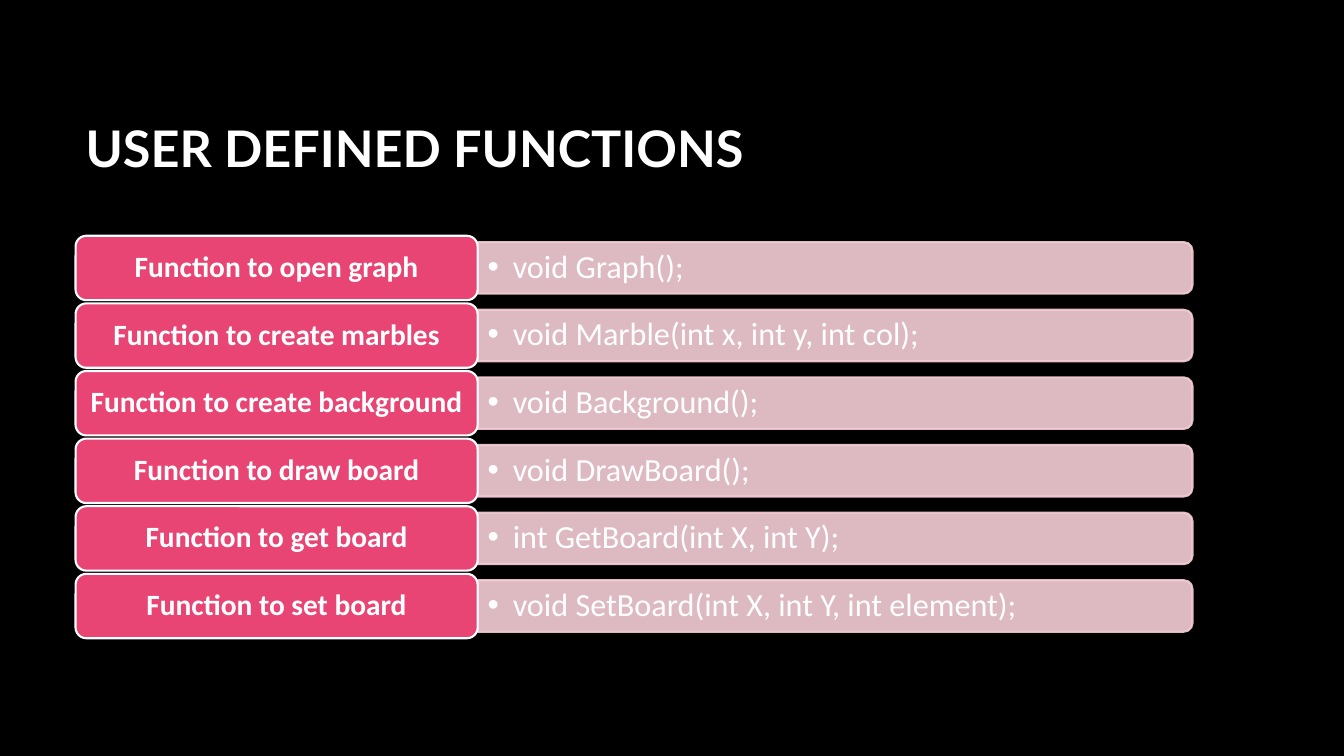
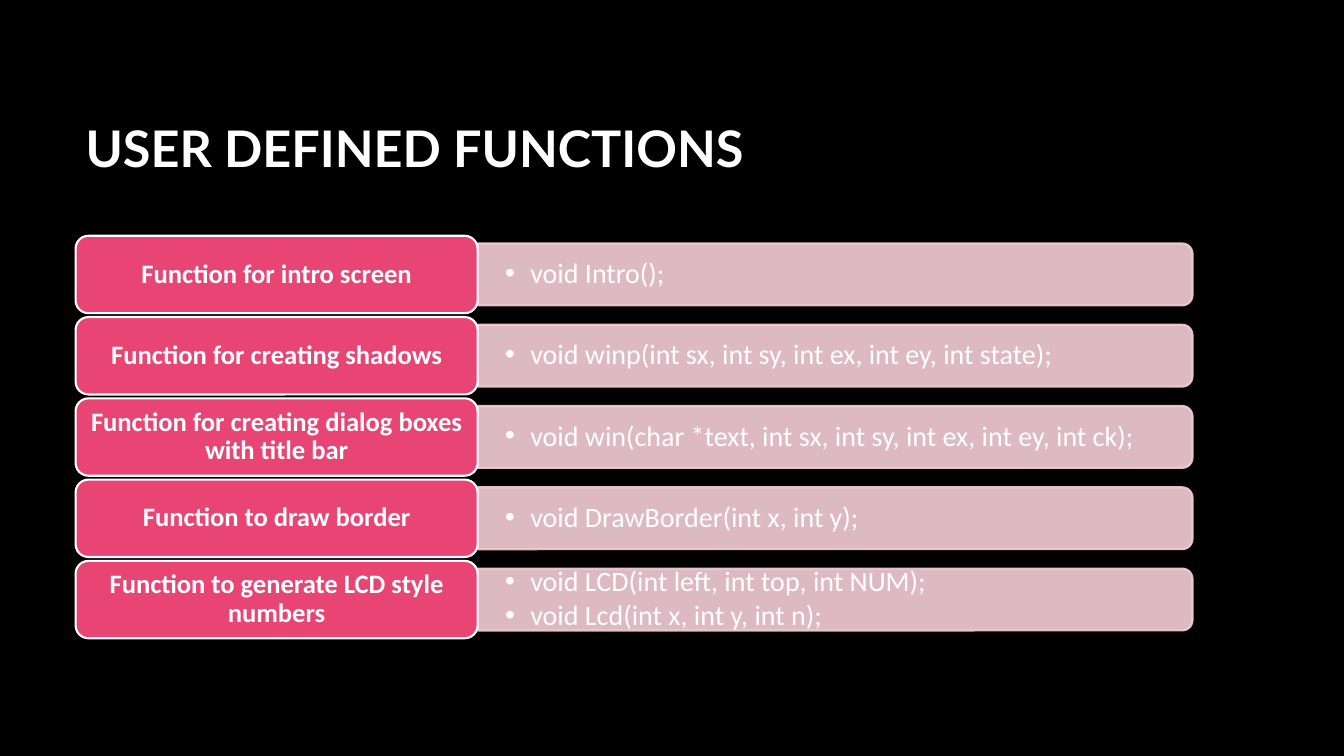
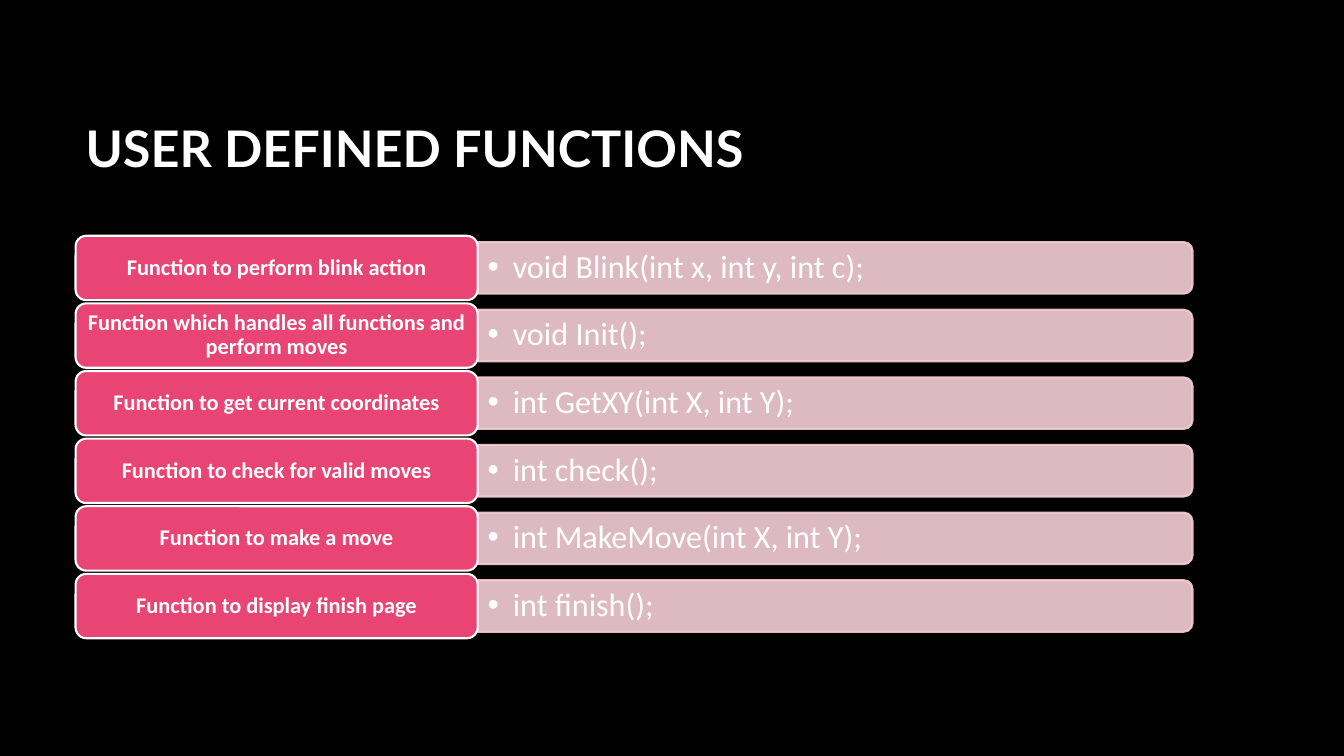
from lxml import etree
from pptx import Presentation
from pptx.dml.color import RGBColor
from pptx.enum import shapes, text
from pptx.oxml import ns
from pptx.util import Pt

# Content: label and declarations, with the text sizes of each slide
TITLE = "USER DEFINED FUNCTIONS"
SLIDES = [
    {"label_size": 21, "code_size": 23, "code_inset": 7.2, "functions": [
        ("Function to open graph", ["void Graph();"]),
        ("Function to create marbles", ["void Marble(int x, int y, int col);"]),
        ("Function to create background", ["void Background();"]),
        ("Function to draw board", ["void DrawBoard();"]),
        ("Function to get board", ["int GetBoard(int X, int Y);"]),
        ("Function to set board", ["void SetBoard(int X, int Y, int element);"]),
    ]},
    {"label_size": 19, "code_size": 20, "code_inset": 19.6, "functions": [
        ("Function for intro screen", ["void Intro();"]),
        ("Function for creating shadows",
         ["void winp(int sx, int sy, int ex, int ey, int state);"]),
        ("Function for creating dialog boxes with title bar",
         ["void win(char *text, int sx, int sy, int ex, int ey, int ck);"]),
        ("Function to draw border", ["void DrawBorder(int x, int y);"]),
        ("Function to generate LCD style numbers",
         ["void LCD(int left, int top, int NUM);", "void Lcd(int x, int y, int n);"]),
    ]},
    {"label_size": 16, "code_size": 23, "code_inset": 7.2, "functions": [
        ("Function to perform blink action", ["void Blink(int x, int y, int c);"]),
        ("Function which handles all functions and perform moves", ["void Init();"]),
        ("Function to get current coordinates", ["int GetXY(int X, int Y);"]),
        ("Function to check for valid moves", ["int check();"]),
        ("Function to make a move", ["int MakeMove(int X, int Y);"]),
        ("Function to display finish page", ["int finish();"]),
    ]},
]

# Shared look and layout, in points
BLACK, WHITE, PINK, PALE = "000000", "FFFFFF", "E84574", "F6CFD6"
LEFT, TOP, WIDTH, HEIGHT = 54, 168.4, 797.8, 287.5
LABEL_SHARE, BAR_SHARE, GAP_SHARE = 0.36, 0.8, 0.05
CORNER_TRIM = 0.05
BULLET_INDENT = 18


def color(value):
    return RGBColor.from_string(value)


def place(left, top, width, height):
    return [Pt(round(length, 2)) for length in (left, top, width, height)]


def write(shape, lines, size, font="Calibri", bold=False, inset=7.2,
          align=text.PP_ALIGN.LEFT, spacing=0.9, after=0):
    frame = shape.text_frame
    side, edge = Pt(inset), Pt(inset / 2)
    frame_format = {"word_wrap": True, "auto_size": text.MSO_AUTO_SIZE.NONE,
                    "vertical_anchor": text.MSO_ANCHOR.MIDDLE,
                    "margin_left": side, "margin_right": side,
                    "margin_top": edge, "margin_bottom": edge}
    for key, value in frame_format.items():
        setattr(frame, key, value)
    frame.text = "\n".join(lines)
    for paragraph in frame.paragraphs:
        for key, value in {"alignment": align, "line_spacing": spacing,
                           "space_after": Pt(after)}.items():
            setattr(paragraph, key, value)
        for key, value in {"size": Pt(size), "name": font, "bold": bold}.items():
            setattr(paragraph.font, key, value)
        paragraph.font.color.rgb = color(WHITE)
    return frame


def add_bullets(frame):
    for paragraph in frame.paragraphs:
        properties = paragraph._p.get_or_add_pPr()
        properties.set("marL", str(Pt(BULLET_INDENT)))
        properties.set("indent", str(-Pt(BULLET_INDENT)))
        etree.SubElement(properties, ns.qn("a:buFont")).set("typeface", "Arial")
        etree.SubElement(properties, ns.qn("a:buChar")).set("char", "•")


def add_block(slide, kind, box, fill, line):
    block = slide.shapes.add_shape(kind, *place(*box))
    block.shadow.inherit = False
    block.fill.solid()
    block.fill.fore_color.rgb = color(fill)
    block.line.color.rgb = color(line)
    block.line.width = Pt(1.5)
    return block


def add_bar(slide, left, top, width, height):
    # Upright shape turned a quarter about its centre, rounded end to the right
    box = (left + (width - height) / 2, top + (height - width) / 2, height, width)
    bar = add_block(slide, shapes.MSO_SHAPE.ROUND_2_SAME_RECTANGLE, box, PALE, PALE)
    bar.rotation = 90
    for tint in bar._element.spPr.iter(ns.qn("a:srgbClr")):
        etree.SubElement(tint, ns.qn("a:alpha")).set("val", "90000")


def add_function(slide, top, height, label, code, style):
    label_width = WIDTH * LABEL_SHARE
    bar_left, bar_width = LEFT + label_width, WIDTH - label_width
    bar_height = height * BAR_SHARE
    bar_top = top + (height - bar_height) / 2
    add_bar(slide, bar_left, bar_top, bar_width, bar_height)

    trim = bar_height * CORNER_TRIM
    declarations = slide.shapes.add_textbox(
        *place(bar_left, bar_top + trim, bar_width - trim, bar_height - 2 * trim))
    size = style["code_size"]
    add_bullets(write(declarations, code, size, inset=style["code_inset"],
                      after=size * 0.15))

    purpose = add_block(slide, shapes.MSO_SHAPE.ROUNDED_RECTANGLE,
                        (LEFT, top, label_width, height), PINK, WHITE)
    size = style["label_size"]
    write(purpose, [label], size, bold=True, inset=size * 0.3,
          align=text.PP_ALIGN.CENTER)


# Build the slides
deck = Presentation()
deck.slide_width, deck.slide_height = Pt(960), Pt(540)
backdrop = deck.slide_master.background.fill
backdrop.solid()
backdrop.fore_color.rgb = color(BLACK)

for content in SLIDES:
    slide = deck.slides.add_slide(deck.slide_layouts[6])
    heading = slide.shapes.add_textbox(*place(LEFT, 48.2, WIDTH, 114.5))
    write(heading, [TITLE], 36, font="Lato", bold=True, spacing=1.0)
    count = len(content["functions"])
    row_height = HEIGHT / (count + (count - 1) * GAP_SHARE)
    for row, (label, code) in enumerate(content["functions"]):
        row_top = TOP + row * row_height * (1 + GAP_SHARE)
        add_function(slide, row_top, row_height, label, code, content)

deck.save("out.pptx")
